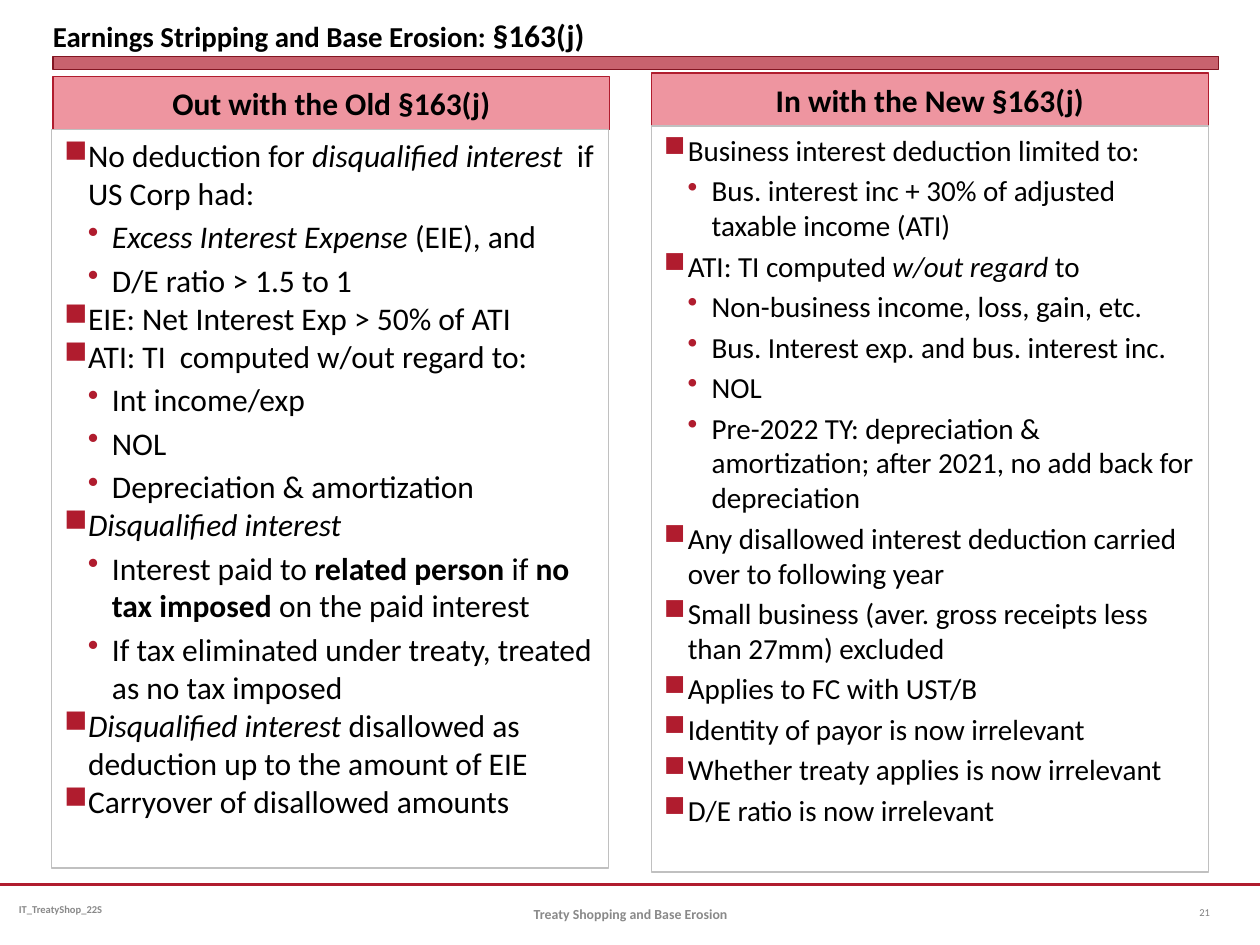
"""Builds the slide comparing the old and the new §163(j)."""
from lxml.etree import SubElement
from pptx import Presentation
from pptx.dml.color import RGBColor
from pptx.enum.shapes import MSO_CONNECTOR, MSO_SHAPE
from pptx.enum.text import MSO_ANCHOR, PP_ALIGN
from pptx.oxml.ns import qn
from pptx.util import Inches, Pt

CRIMSON = RGBColor(0xB0, 0x1C, 0x2E)
DARK_RED = RGBColor(0x82, 0x15, 0x22)
PINK = RGBColor(0xEE, 0x95, 0xA0)
SILVER = RGBColor(0xC0, 0xC0, 0xC0)
FOOTER_GRAY = RGBColor(0x89, 0x89, 0x89)
NUMBER_GRAY = RGBColor(0x80, 0x80, 0x80)
BLACK = RGBColor(0, 0, 0)
WHITE = RGBColor(0xFF, 0xFF, 0xFF)

WIDTH, HEIGHT = Inches(10), Inches(7.5)
COLUMNS, ROWS = 100, 75
LEFT_EDGE, PANEL_WIDTH = 4.2, 44.2
INDENT = Inches(0.19)
BULLETS = ("■", "•")

OLD_RULES = [
    (0, "No deduction for ~disqualified interest  ~if US Corp had:"),
    (1, "~Excess Interest Expense ~(EIE), and"),
    (1, "D/E ratio > 1.5 to 1"),
    (0, "EIE: Net Interest Exp > 50% of ATI"),
    (0, "ATI: TI  computed w/out regard to:"),
    (1, "Int income/exp"),
    (1, "NOL"),
    (1, "Depreciation & amortization"),
    (0, "~Disqualified interest~"),
    (1, "Interest paid to *related person *if *no tax imposed *on the paid interest"),
    (1, "If tax eliminated under treaty, treated as no tax imposed"),
    (0, "~Disqualified interest ~disallowed as deduction up to the amount of EIE"),
    (0, "Carryover of disallowed amounts"),
]
NEW_RULES = [
    (0, "Business interest deduction limited to:"),
    (1, "Bus. interest inc + 30% of adjusted taxable income (ATI)"),
    (0, "ATI: TI computed ~w/out regard ~to"),
    (1, "Non-business income, loss, gain, etc."),
    (1, "Bus. Interest exp. and bus. interest inc."),
    (1, "NOL"),
    (1, "Pre-2022 TY: depreciation & amortization; after 2021, no add back for depreciation"),
    (0, "Any disallowed interest deduction carried over to following year"),
    (0, "Small business (aver. gross receipts less than 27mm) excluded"),
    (0, "Applies to FC with UST/B"),
    (0, "Identity of payor is now irrelevant"),
    (0, "Whether treaty applies is now irrelevant"),
    (0, "D/E ratio is now irrelevant"),
]


def write(paragraph, text, size, color=BLACK, bold=False, italic=False, align=PP_ALIGN.LEFT):
    paragraph.alignment = align
    for i, slanted in enumerate(text.split("~")):
        for j, piece in enumerate(slanted.split("*")):
            if piece:
                run = paragraph.add_run()
                run.text = piece
                font = run.font
                font.name, font.size, font.color.rgb = "Calibri", Pt(size), color
                font.bold = bold or j % 2 == 1
                font.italic = italic or i % 2 == 1


class SlideBuilder:
    """Holds the grid and the current slide, with a method for each kind of element."""

    def __init__(self, slide):
        self.slide = slide

    def place(self, column, row, columns, rows):
        x, y = WIDTH / COLUMNS, HEIGHT / ROWS
        return int(column * x), int(row * y), int(columns * x), int(rows * y)

    def title(self, pieces, box):
        title = self.slide.shapes.title
        title.left, title.top, title.width, title.height = self.place(*box)
        frame = title.text_frame
        frame.margin_left = frame.margin_right = frame.margin_top = frame.margin_bottom = 0
        frame.vertical_anchor = MSO_ANCHOR.BOTTOM
        for text, size in pieces:
            write(frame.paragraphs[0], text, size, bold=True)

    def rectangle(self, box, fill, line, weight=0.75, opacity=None):
        shape = self.slide.shapes.add_shape(MSO_SHAPE.RECTANGLE, *self.place(*box))
        shape.shadow.inherit = False
        shape.fill.solid()
        shape.fill.fore_color.rgb = fill
        shape.line.color.rgb = line
        shape.line.width = Pt(weight)
        if opacity:
            color = shape.fill._xPr.find(qn("a:solidFill"))[0]
            SubElement(color, qn("a:alpha"), val=str(opacity * 1000))
        return shape

    def heading(self, text, box):
        frame = self.rectangle(box, PINK, CRIMSON).text_frame
        frame.vertical_anchor = MSO_ANCHOR.MIDDLE
        write(frame.paragraphs[0], text, 18, bold=True, align=PP_ALIGN.CENTER)

    def bullets(self, rules, box, size, spacing):
        frame = self.rectangle(box, WHITE, SILVER).text_frame
        frame.word_wrap = True
        frame.vertical_anchor = MSO_ANCHOR.TOP
        for index, (level, text) in enumerate(rules):
            paragraph = frame.add_paragraph() if index else frame.paragraphs[0]
            paragraph.level = level
            properties = paragraph._p.get_or_add_pPr()
            properties.set("marL", str(INDENT * (level + 1)))
            properties.set("indent", str(-INDENT))
            color = SubElement(properties, qn("a:buClr"))
            SubElement(color, qn("a:srgbClr"), val=str(CRIMSON))
            SubElement(properties, qn("a:buChar"), char=BULLETS[level])
            if index:
                paragraph.space_before = Pt(spacing[level])
            write(paragraph, text, size)

    def label(self, text, box, size, margin=0.1, **style):
        frame = self.slide.shapes.add_textbox(*self.place(*box)).text_frame
        frame.word_wrap = True
        frame.vertical_anchor = MSO_ANCHOR.MIDDLE
        frame.margin_left = frame.margin_right = Inches(margin)
        write(frame.paragraphs[0], text, size, **style)

    def rule(self, row):
        x, y, length, _ = self.place(0, row, COLUMNS, 0)
        line = self.slide.shapes.add_connector(MSO_CONNECTOR.STRAIGHT, x, y, length, y)
        line.line.color.rgb = CRIMSON
        line.line.width = Pt(1.25)
        SubElement(line._element.spPr, qn("a:effectLst"))


def main():
    presentation = Presentation()
    presentation.slide_width, presentation.slide_height = WIDTH, HEIGHT
    builder = SlideBuilder(presentation.slides.add_slide(presentation.slide_layouts[5]))

    builder.title([("Earnings Stripping and Base Erosion: ", 16.5), ("§163(j)", 18)],
                  (LEFT_EDGE, 0, 92.5, 4.3))
    builder.rule(70.2)
    builder.rectangle((LEFT_EDGE, 4.5, 92.5, 1), CRIMSON, DARK_RED, weight=0, opacity=69)

    builder.heading("Out with the Old §163(j)", (LEFT_EDGE, 6.1, PANEL_WIDTH, 4.2))
    builder.heading("In with the New §163(j)", (51.7, 5.8, PANEL_WIDTH, 4.3))
    builder.bullets(OLD_RULES, (4.1, 10.3, PANEL_WIDTH, 58.6), 18, (0.2, 3.2))
    builder.bullets(NEW_RULES, (51.7, 10, PANEL_WIDTH, 59.2), 16.6, (3.2, 3.2))

    builder.label("IT_TreatyShop_22S", (0.8, 70.2, 25.8, 4), 6, margin=0.07,
                  color=FOOTER_GRAY, bold=True)
    builder.label("Treaty Shopping and Base Erosion", (34.2, 70.5, 31.7, 4), 7.9,
                  color=FOOTER_GRAY, bold=True, align=PP_ALIGN.CENTER)
    builder.label("21", (94.2, 70.4, 5, 4), 6, color=NUMBER_GRAY)
    presentation.save("out.pptx")


if __name__ == "__main__":
    main()
